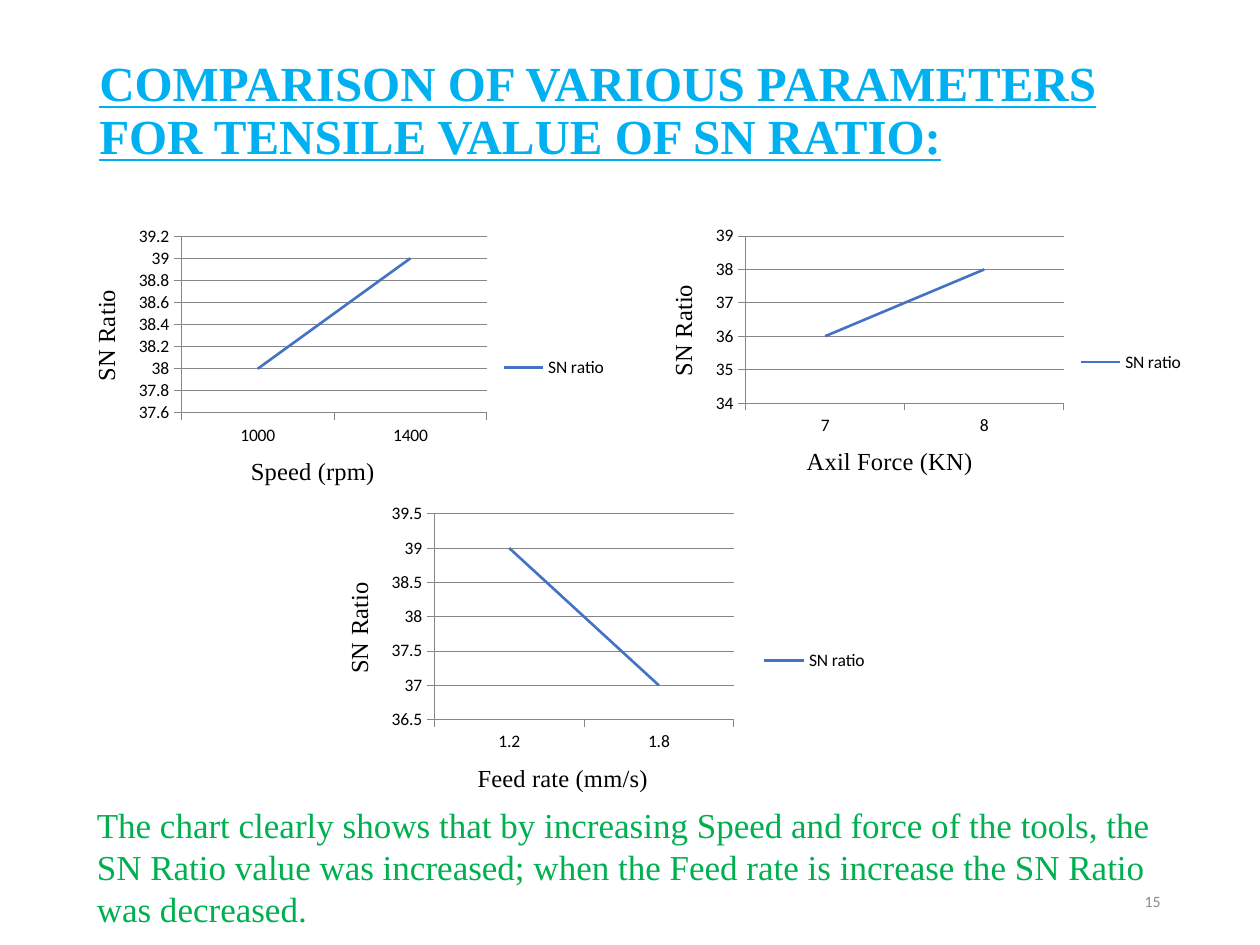
from lxml import etree
from pptx import Presentation
from pptx.chart.data import CategoryChartData
from pptx.dml.color import RGBColor
from pptx.enum.chart import XL_CHART_TYPE, XL_LEGEND_POSITION, XL_MARKER_STYLE, XL_TICK_MARK
from pptx.enum.text import MSO_ANCHOR, PP_ALIGN
from pptx.oxml.ns import qn
from pptx.util import Inches, Pt

LINE = XL_CHART_TYPE.LINE
RIGHT = XL_LEGEND_POSITION.RIGHT
BARE = XL_MARKER_STYLE.NONE
OUT, NO_TICK = XL_TICK_MARK.OUTSIDE, XL_TICK_MARK.NONE
TOP, MIDDLE = MSO_ANCHOR.TOP, MSO_ANCHOR.MIDDLE
SERIF, SANS = "Times New Roman", "Calibri"
COLORS = {"title": "00B0F0", "note": "00B050", "page": "8C8C8C",
          "text": "000000", "line": "4472C4", "axis": "868686"}

# box, x title, categories, values, (low, high, step), inner plot area
CHARTS = [
    ((0.5, 1.75, 4.42, 2.33), "Speed (rpm)", ("1000", "1400"),
     (38, 39), (37.6, 39.2, 0.2), None),
    ((5.08, 1.75, 4.42, 2.25), "Axil Force (KN)", ("7", "8"),
     (36, 38), (34, 39, 1), None),
    ((2.67, 4, 4.32, 2.48), "Feed rate (mm/s)", ("1.2", "1.8"),
     (39, 37), (36.5, 39.5, 0.5), (0.18, 0.03, 0.55, 0.66)),
]


def color(name):
    return RGBColor.from_string(COLORS[name])


def style(font, size, face, tint, bold=False, line=False):
    font.size, font.name = Pt(size), face
    font.bold, font.underline = bold, line
    font.color.rgb = color(tint)


def draw(line, tint, width):
    line.color.rgb = color(tint)
    line.width = Pt(width)


def add_text(slide, box, text, size, face, tint, bold=False, line=False,
             align=PP_ALIGN.LEFT, anchor=TOP, space=None, inset=0.05):
    frame = slide.shapes.add_textbox(*map(Inches, box)).text_frame
    frame.word_wrap = True
    frame.vertical_anchor = anchor
    frame.margin_top = Inches(inset)
    para = frame.paragraphs[0]
    para.alignment = align
    para.line_spacing = space
    run = para.add_run()
    run.text = text
    style(run.font, size, face, tint, bold, line)


def set_axis(axis, title):
    frame = axis.axis_title.text_frame
    frame.text = title
    style(frame.paragraphs[0].runs[0].font, 14, SERIF, "text")
    axis.major_tick_mark, axis.minor_tick_mark = OUT, NO_TICK
    draw(axis.format.line, "axis", 0.5)


def set_plot(chart, plot):
    """Fix the inner plot area as fractions of the chart."""
    area = chart.plots[0]._element.getparent()
    layout = area.find(qn("c:layout"))
    if layout is None:
        layout = etree.Element(qn("c:layout"))
        area.insert(0, layout)
    manual = etree.SubElement(layout, qn("c:manualLayout"))
    parts = [("layoutTarget", "inner"), ("xMode", "edge"), ("yMode", "edge")]
    for tag, value in parts + list(zip("xywh", plot)):
        etree.SubElement(manual, qn("c:" + tag)).set("val", str(value))


def add_line(slide, box, title, cats, values, scale, plot):
    data = CategoryChartData()
    data.categories = cats
    data.add_series("SN ratio", values)
    chart = slide.shapes.add_chart(LINE, *map(Inches, box), data).chart
    style(chart.font, 10, SANS, "text")
    chart.has_title = False
    chart.has_legend = True
    chart.legend.position = RIGHT
    chart.legend.include_in_layout = False

    set_axis(chart.category_axis, title)
    axis = chart.value_axis
    set_axis(axis, "SN Ratio")
    axis.minimum_scale, axis.maximum_scale, axis.major_unit = scale
    axis.tick_labels.number_format = "General"
    axis.tick_labels.number_format_is_linked = False
    axis.has_major_gridlines = True
    draw(axis.major_gridlines.format.line, "axis", 0.5)

    chart.plots[0].vary_by_categories = False
    series = chart.plots[0].series[0]
    series.smooth = False
    series.marker.style = BARE
    draw(series.format.line, "line", 1.5)
    if plot:
        set_plot(chart, plot)


def main():
    deck = Presentation()
    deck.slide_width, deck.slide_height = Inches(10), Inches(7.5)
    slide = deck.slides.add_slide(deck.slide_layouts[6])
    add_text(slide, (7.06, 6.95, 2.25, 0.4), "15", 9, SANS, "page",
             align=PP_ALIGN.RIGHT, anchor=MIDDLE)
    add_text(slide, (0.69, 0.4, 8.62, 1.45),
             "COMPARISON OF VARIOUS PARAMETERS FOR TENSILE VALUE OF SN RATIO:",
             28, SERIF, "title", bold=True, line=True, space=0.9, inset=0.07)
    for spec in CHARTS:
        add_line(slide, *spec)
    add_text(slide, (0.67, 6.33, 8.67, 1.11),
             "The chart clearly shows that by increasing Speed and force of "
             "the tools, the SN Ratio value was increased; when the Feed rate "
             "is increase the SN Ratio was decreased.", 20, SERIF, "note")
    deck.save("out.pptx")


if __name__ == "__main__":
    main()
